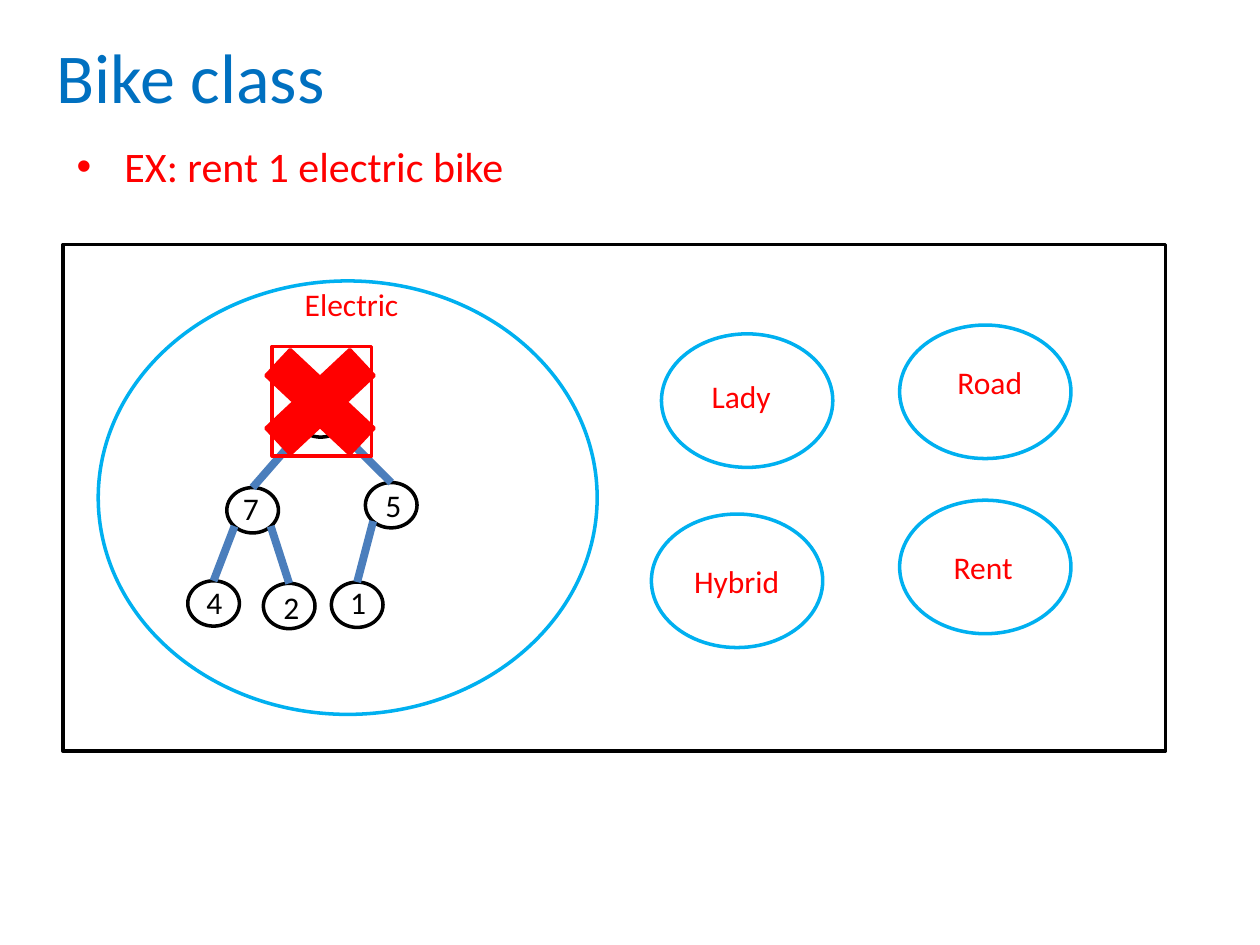
from lxml.etree import SubElement
from pptx import Presentation
from pptx.dml.color import RGBColor
from pptx.enum.shapes import MSO_CONNECTOR, MSO_SHAPE
from pptx.enum.text import MSO_ANCHOR
from pptx.oxml.ns import qn
from pptx.util import Inches, Pt

COLUMNS, ROWS = 100, 75
SLIDE_WIDTH, SLIDE_HEIGHT = Inches(10), Inches(7.5)
RED, BLACK, BLUE, SKY, STEEL = "FF0000", "000000", "0070C0", "00B0F0", "4B7EBC"

NODE_WIDTH, NODE_HEIGHT = 4.1, 3.6
# key: node left, node top, label left, label top
NODES = {
    "9": (23.4, 31.1, 23.8, 31.1),
    "7": (18, 38.7, 18.3, 38.3),
    "5": (29, 38.3, 29.6, 38.1),
    "4": (14.9, 46.1, 15.4, 45.8),
    "2": (20.9, 46.3, 21.5, 46.2),
    "1": (26.3, 46.2, 26.8, 45.8),
}
# parent, child, share of the parent's width where the edge leaves
LEFT, RIGHT = 0.15, 0.85
EDGES = [("9", "7", LEFT), ("9", "5", RIGHT), ("7", "4", LEFT),
         ("7", "2", RIGHT), ("5", "1", LEFT)]
# name, ellipse left and top, label left and top
CLASSES = [
    ("Lady", 52.5, 26.5, 55.5, 29.4),
    ("Road", 71.4, 25.8, 75, 28.3),
    ("Rent", 71.4, 39.7, 74.7, 43),
    ("Hybrid", 51.7, 40.8, 54.1, 44.1),
]


def grid(column, row):
    return round(SLIDE_WIDTH * column / COLUMNS), round(SLIDE_HEIGHT * row / ROWS)


def color(value):
    return RGBColor.from_string(value)


def add_text(slide, text, box, size, text_color, wrap=True):
    left, top, width, height = box
    shape = slide.shapes.add_textbox(*grid(left, top), *grid(width, height))
    shape.text_frame.word_wrap = wrap
    paragraph = shape.text_frame.paragraphs[0]
    paragraph.text = text
    paragraph.font.name = "Calibri"
    paragraph.font.size = Pt(size)
    paragraph.font.color.rgb = color(text_color)
    return shape.text_frame


def add_bullet(paragraph, indent):
    properties = paragraph._p.get_or_add_pPr()
    properties.set("marL", str(indent))
    properties.set("indent", str(-indent))
    bullet_font = SubElement(properties, qn("a:buFont"))
    bullet_font.set("typeface", "Arial")
    bullet = SubElement(properties, qn("a:buChar"))
    bullet.set("char", "•")
    # The schema wants the default run properties last.
    properties.append(properties.find(qn("a:defRPr")))


def add_outline(slide, kind, box, line_color, fill=None):
    left, top, width, height = box
    shape = slide.shapes.add_shape(kind, *grid(left, top), *grid(width, height))
    shape.shadow.inherit = False
    shape.line.color.rgb = color(line_color)
    shape.line.width = Pt(2)
    if fill:
        shape.fill.solid()
        shape.fill.fore_color.rgb = color(fill)
    else:
        shape.fill.background()


def add_edge(slide, parent, child, share):
    """Join the lower side of the parent node to the top of the child node."""
    parent_left, parent_top = NODES[parent][:2]
    child_left, child_top = NODES[child][:2]
    start = grid(parent_left + share * NODE_WIDTH, parent_top + RIGHT * NODE_HEIGHT)
    end = grid(child_left + NODE_WIDTH / 2, child_top)
    edge = slide.shapes.add_connector(MSO_CONNECTOR.STRAIGHT, *start, *end)
    edge.line.color.rgb = color(STEEL)
    edge.line.width = Pt(4.5)
    SubElement(edge._element.spPr, qn("a:effectLst"))


def add_class(slide, name, left, top, label_left, label_top):
    add_text(slide, name, (label_left, label_top, 12.8, 4), 18, RED)
    add_outline(slide, MSO_SHAPE.OVAL, (left, top, 13.6, 10.6), SKY)


def add_heap(slide):
    for left, top, _, _ in NODES.values():
        add_outline(slide, MSO_SHAPE.OVAL, (left, top, NODE_WIDTH, NODE_HEIGHT), BLACK)
    for parent, child, share in EDGES:
        add_edge(slide, parent, child, share)
    for key, (_, _, left, top) in NODES.items():
        add_text(slide, key, (left, top, 3.3, 4), 18, BLACK, wrap=False)


def main():
    presentation = Presentation()
    presentation.slide_width, presentation.slide_height = SLIDE_WIDTH, SLIDE_HEIGHT
    slide = presentation.slides.add_slide(presentation.slide_layouts[6])

    title = add_text(slide, "Bike class", (3.5, 1.3, 92.9, 9.4), 40, BLUE)
    title.vertical_anchor = MSO_ANCHOR.MIDDLE
    body = add_text(slide, "EX: rent 1 electric bike", (5.1, 10.7, 90, 58.3), 24, RED)
    add_bullet(body.paragraphs[0], Inches(0.38))

    add_text(slide, "Electric", (23.2, 22.1, 12.8, 4), 18, RED)
    add_outline(slide, MSO_SHAPE.OVAL, (7.8, 22.3, 39.6, 34.4), SKY)
    for bike_class in CLASSES:
        add_class(slide, *bike_class)
    add_heap(slide)

    add_outline(slide, MSO_SHAPE.RECTANGLE, (5, 19.4, 87.5, 40.2), BLACK)
    add_outline(slide, MSO_SHAPE.RECTANGLE, (21.6, 27.5, 7.9, 8.7), RED)
    add_outline(slide, MSO_SHAPE.MATH_MULTIPLY, (19, 25.9, 12.8, 12), RED, fill=RED)
    presentation.save("out.pptx")


if __name__ == "__main__":
    main()
